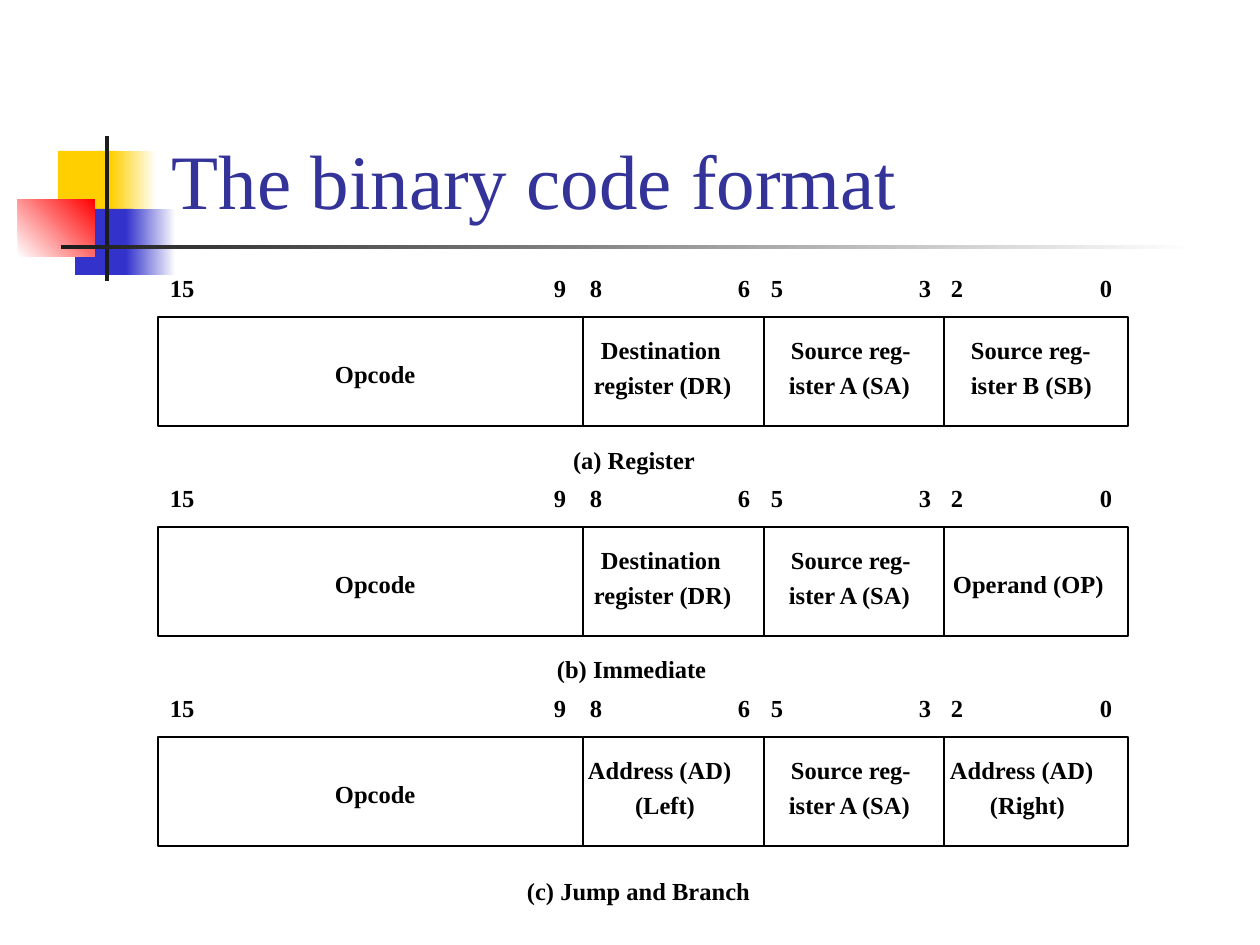
from lxml.etree import SubElement
from pptx import Presentation
from pptx.dml.color import RGBColor
from pptx.enum.shapes import MSO_CONNECTOR, MSO_SHAPE
from pptx.enum.text import MSO_ANCHOR
from pptx.oxml.ns import qn
from pptx.util import Emu, Pt

FONT = "Times New Roman"
BLACK = "000000"
WHITE = "FFFFFF"
YELLOW = "FFCF01"
BLUE = "3333CC"
RED = "FF0000"
CHARCOAL = "1C1C1C"
TITLE_BLUE = "333399"

DIVIDERS = (425, 606, 786)
BITS = (("15", 12), ("9", 396), ("8", 432), ("6", 580),
        ("5", 613), ("3", 761), ("2", 793), ("0", 942))
OPCODE = [("Opcode", 177, 93)]
DESTINATION = [("Destination", 443, 145), ("register (DR)", 436, 160)]
SOURCE_A = [("Source reg-", 633, 140), ("ister A (SA)", 631, 141)]
SOURCE_B = [("Source reg-", 813, 140), ("ister B (SB)", 813, 137)]
OPERAND = [("Operand (OP)", 795, 170)]
ADDRESS_LEFT = [("Address (AD)", 430, 165), ("(Left)", 477, 69)]
ADDRESS_RIGHT = [("Address (AD)", 792, 165), ("(Right)", 832, 86)]


def px(length):
    """Turn pixels at 126 to the inch into EMU."""
    return Emu(round(length * 914400 / 126))


def color(hex_string):
    """Turn a hex string into a colour."""
    return RGBColor.from_string(hex_string)


def add_text(shapes, text, left, top, width, height=29, size=14,
             bold=True, text_color=BLACK):
    """Add one line of text in a box without insets and return its frame."""
    box = shapes.add_textbox(px(left), px(top), px(width), px(height))
    frame = box.text_frame
    frame.word_wrap = True
    frame.margin_left = frame.margin_right = 0
    frame.margin_top = frame.margin_bottom = 0
    paragraph = frame.paragraphs[0]
    paragraph.text = text
    paragraph.font.name = FONT
    paragraph.font.size = Pt(size)
    paragraph.font.bold = bold
    paragraph.font.color.rgb = color(text_color)
    return frame


def add_block(shapes, left, top, width, height, start, end=None, angle=0):
    """Add a borderless rectangle, plain or fading from start to end."""
    block = shapes.add_shape(MSO_SHAPE.RECTANGLE, px(left), px(top), px(width), px(height))
    block.shadow.inherit = False
    block.line.fill.background()
    if end is None:
        block.fill.solid()
        block.fill.fore_color.rgb = color(start)
        return
    block.fill.gradient()
    block.fill.gradient_angle = angle
    for stop, stop_color in zip(block.fill.gradient_stops, (start, end)):
        stop.color.rgb = color(stop_color)


def add_ornament(shapes, left, top):
    """Place the coloured squares and crossing bars beside the title."""
    add_block(shapes, left + 40, top + 15, 61, 66, YELLOW)
    add_block(shapes, left + 93, top + 15, 45, 66, YELLOW, WHITE)
    add_block(shapes, left + 57, top + 73, 58, 66, BLUE)
    add_block(shapes, left + 108, top + 73, 50, 66, BLUE, WHITE)
    add_block(shapes, left, top + 63, 77, 58, WHITE, RED, 45)
    add_block(shapes, left + 87, top, 4, 145, CHARCOAL)
    add_block(shapes, left + 43, top + 109, 1134, 4, CHARCOAL, WHITE)


def add_title(shapes, left, top, width, height):
    """Place the title at the bottom of its box."""
    frame = add_text(shapes, "The binary code format", left, top, width, height,
                     44, False, TITLE_BLUE)
    frame.margin_left = frame.margin_right = px(13)
    frame.margin_top = frame.margin_bottom = px(6)
    frame.vertical_anchor = MSO_ANCHOR.BOTTOM


def add_divider(shapes, left, top, height):
    """Add a vertical line between two fields."""
    divider = shapes.add_connector(MSO_CONNECTOR.STRAIGHT, px(left), px(top),
                                   px(left), px(top + height))
    divider.line.color.rgb = color(BLACK)
    divider.line.width = Pt(1.5)
    SubElement(divider._element.spPr, qn("a:effectLst"))


def add_format(shapes, left, top, fields, caption, caption_left, caption_top, caption_width):
    """Draw one instruction format: bit numbers, divided frame and caption."""
    frame_top, frame_height = top + 44, 109
    add_text(shapes, caption, left + caption_left, top + caption_top, caption_width)
    frame = shapes.add_shape(MSO_SHAPE.RECTANGLE, px(left), px(frame_top),
                             px(970), px(frame_height))
    frame.shadow.inherit = False
    frame.fill.background()
    frame.line.color.rgb = color(BLACK)
    frame.line.width = Pt(1.5)
    for offset in DIVIDERS:
        add_divider(shapes, left + offset, frame_top, frame_height)
    for bit, offset in BITS:
        add_text(shapes, bit, left + offset, top, 14 * len(bit))
    for lines in fields:
        line_tops = (86,) if len(lines) == 1 else (62, 97)
        for (text, offset, width), line_top in zip(lines, line_tops):
            add_text(shapes, text, left + offset, top + line_top, width)


def main():
    """Build and save the slide."""
    presentation = Presentation()
    presentation.slide_width, presentation.slide_height = px(1260), px(945)
    slide = presentation.slides.add_slide(presentation.slide_layouts[6])
    add_ornament(slide.shapes, 18, 136)
    add_title(slide.shapes, 159, 29, 1074, 202)
    formats = (
        ([OPCODE, DESTINATION, SOURCE_A, SOURCE_B], "(a) Register", 415, 172, 144),
        ([OPCODE, DESTINATION, SOURCE_A, OPERAND], "(b) Immediate", 399, 171, 178),
        ([OPCODE, ADDRESS_LEFT, SOURCE_A, ADDRESS_RIGHT], "(c) Jump and Branch", 369, 183, 255),
    )
    for row, details in enumerate(formats):
        group = slide.shapes.add_group_shape()
        add_format(group.shapes, 158, 273 + 210 * row, *details)
    presentation.save("out.pptx")


if __name__ == "__main__":
    main()
